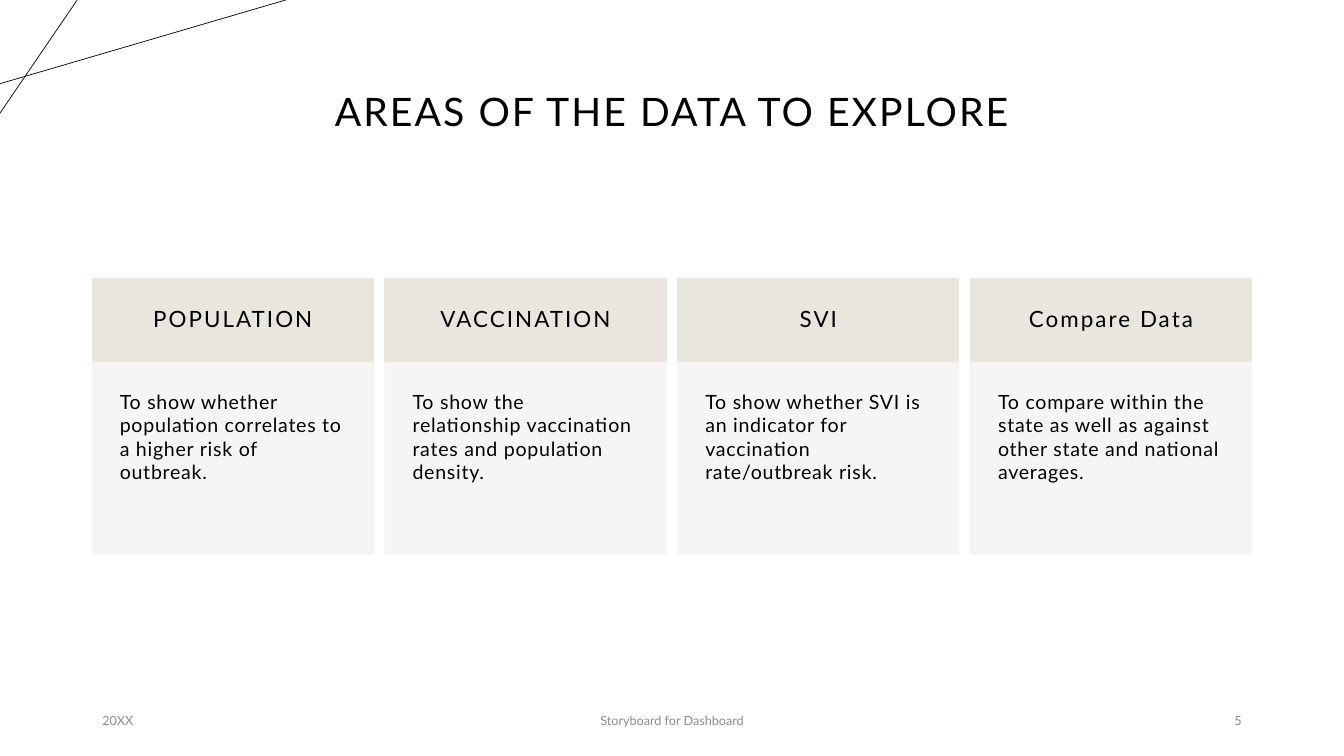
from dataclasses import dataclass

from lxml import etree
from pptx import Presentation
from pptx import util as u
from pptx.dml.color import RGBColor
from pptx.enum import shapes, text
from pptx.oxml import ns


@dataclass(frozen=True)
class Theme:
    """Colours, font and type sizes of the deck."""
    font: str = "Lato"
    ink: str = "000000"
    muted: str = "8C8C8C"
    header: str = "E9E6DF"
    body: str = "F7F5F3"
    title_size: int = 28
    header_size: int = 16
    body_size: int = 14
    footer_size: int = 9


@dataclass(frozen=True)
class Box:
    """A rectangle measured in centimetres."""
    left: float
    top: float
    width: float
    height: float

    def lengths(self):
        """Return the four sides as slide lengths."""
        return [u.Cm(side) for side in (self.left, self.top, self.width, self.height)]


THEME = Theme()
PAGE = Box(0, 0, 33.87, 19.05)
AREAS = [
    ("POPULATION", "To show whether population correlates to a higher risk of outbreak."),
    ("VACCINATION", "To show the relationship vaccination rates and population density."),
    ("SVI", "To show whether SVI is an indicator for vaccination rate/outbreak risk."),
    ("Compare Data", "To compare within the state as well as against other state "
                     "and national averages."),
]


def write(shape, words, size, align, color=THEME.ink, tracking=0, leading=1.0,
          anchor=text.MSO_ANCHOR.MIDDLE, inset=None):
    """Fill a shape with one styled paragraph."""
    frame = shape.text_frame
    frame.word_wrap = True
    frame.auto_size = text.MSO_AUTO_SIZE.NONE
    frame.vertical_anchor = anchor
    if inset is not None:
        frame.margin_left = frame.margin_right = u.Cm(inset)
        frame.margin_top = frame.margin_bottom = u.Cm(inset)
    frame.text = words
    para = frame.paragraphs[0]
    para.alignment = align
    para.line_spacing = leading
    para.font.name = THEME.font
    para.font.size = u.Pt(size)
    para.font.color.rgb = RGBColor.from_string(color)
    for span in para.runs:
        span.font._element.set("spc", str(round(tracking * 100)))


def add_panel(page, box, color, opacity=100):
    """Add a rectangle whose fill and outline share one colour."""
    panel = page.shapes.add_shape(shapes.MSO_SHAPE.RECTANGLE, *box.lengths())
    panel.shadow.inherit = False
    panel.fill.solid()
    panel.line.width = u.Pt(1)
    for paint in (panel.fill.fore_color, panel.line.color):
        paint.rgb = RGBColor.from_string(color)
    if opacity < 100:
        for tint in panel._element.spPr.iter(ns.qn("a:srgbClr")):
            etree.SubElement(tint, ns.qn("a:alpha"), val=str(opacity * 1000))
    return panel


def add_corner_lines(page, box):
    """Cross two thin lines in the corner that the box covers."""
    right, bottom = box.left + box.width, box.top + box.height
    ends = [
        (box.left, box.top + 0.74 * box.height, right, box.top),
        (box.left + 0.27 * box.width, box.top, box.left, bottom),
    ]
    for points in ends:
        line = page.shapes.add_connector(
            shapes.MSO_CONNECTOR.STRAIGHT, *[u.Cm(point) for point in points])
        line.line.width = u.Pt(0.5)
        line.line.color.rgb = RGBColor.from_string(THEME.ink)
        etree.SubElement(line._element.spPr, ns.qn("a:effectLst"))


def add_title(page, box, words):
    """Place the title placeholder in its box."""
    title = page.shapes.title
    title.left, title.top, title.width, title.height = box.lengths()
    write(title, words, THEME.title_size, text.PP_ALIGN.CENTER, tracking=1.5, leading=0.9)


def add_card(page, box, heading, detail):
    """Stack a heading panel on a detail panel."""
    split = 2.11
    header = add_panel(page, Box(box.left, box.top, box.width, split), THEME.header)
    write(header, heading, THEME.header_size, text.PP_ALIGN.CENTER,
          tracking=1.5, leading=0.9, inset=0.56)
    body = add_panel(page, Box(box.left, box.top + split, box.width, box.height - split),
                     THEME.body, opacity=90)
    write(body, detail, THEME.body_size, text.PP_ALIGN.LEFT,
          tracking=0.5, anchor=text.MSO_ANCHOR.TOP, inset=0.69)


def add_cards(page, box, areas, gap=0.3):
    """Spread the cards evenly across the box."""
    width = (box.width - gap * (len(areas) - 1)) / len(areas)
    for index, (heading, detail) in enumerate(areas):
        left = box.left + index * (width + gap)
        add_card(page, Box(left, box.top, width, box.height), heading, detail)


def add_footer(page, box, date, name, number):
    """Set the date, deck name and page number along the bottom."""
    side, middle = 7.62, 11.43
    right = box.left + box.width
    parts = [
        (date, box.left, side, text.PP_ALIGN.LEFT),
        (name, box.left + (box.width - middle) / 2, middle, text.PP_ALIGN.CENTER),
        (number, right - side, side, text.PP_ALIGN.RIGHT),
    ]
    for words, left, width, align in parts:
        label = page.shapes.add_textbox(*Box(left, box.top, width, box.height).lengths())
        write(label, words, THEME.footer_size, align, color=THEME.muted)


def main():
    """Build the one-page deck and save it."""
    deck = Presentation()
    deck.slide_width, deck.slide_height = u.Cm(PAGE.width), u.Cm(PAGE.height)
    page = deck.slides.add_slide(deck.slide_layouts.get_by_name("Title Only"))
    margin, span = 2.33, 29.21
    add_corner_lines(page, Box(0, 0, 7.2, 2.85))
    add_title(page, Box(margin, 1.02, span, 3.68), "AREAS OF THE DATA TO EXPLORE")
    add_cards(page, Box(margin, 7.02, span, 6.94), AREAS)
    add_footer(page, Box(margin, 17.65, span, 1.02), "20XX", "Storyboard for Dashboard", "5")
    deck.save("out.pptx")


if __name__ == "__main__":
    main()
